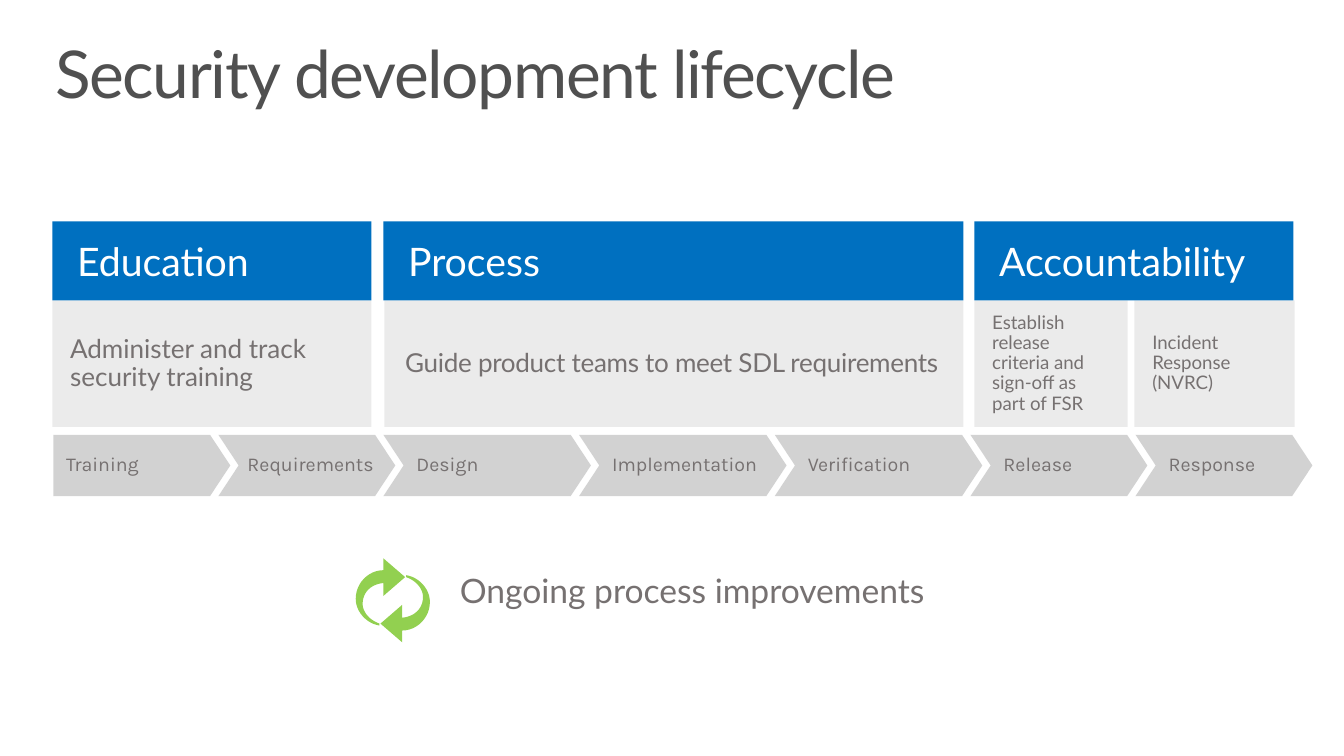
from lxml.etree import SubElement
from pptx import Presentation
from pptx.dml.color import RGBColor
from pptx.enum.shapes import MSO_SHAPE
from pptx.enum.text import MSO_ANCHOR, PP_ALIGN
from pptx.oxml.ns import qn
from pptx.util import Inches, Pt

BLUE, GREEN, WHITE = "0070C0", "92D050", "FFFFFF"
PANEL_GREY, STEP_GREY = "D9D9D9", "A6A6A6"
TITLE_GREY, TEXT_GREY = "505050", "767171"


def paint(sp, color, alpha=None):
    """Give a shape a flat fill, alpha in percent, without line or shadow."""
    sp.shadow.inherit = False
    sp.line.fill.background()
    sp.fill.solid()
    sp.fill.fore_color.rgb = RGBColor.from_string(color)
    if alpha:
        clr = sp.fill._xPr.find(qn("a:solidFill"))[0]
        SubElement(clr, qn("a:alpha")).set("val", str(alpha * 1000))


def write(sp, text, size, color=TEXT_GREY, font="Lato", insets=(0.18, 0, 0.18, 0),
          anchor=MSO_ANCHOR.MIDDLE, align=PP_ALIGN.LEFT, line=0.9, wrap=True, spacing=0):
    """Write one paragraph per line of text; spacing is in points."""
    tf = sp.text_frame
    tf.word_wrap, tf.vertical_anchor = wrap, anchor
    tf.margin_left, tf.margin_top, tf.margin_right, tf.margin_bottom = map(Inches, insets)
    tf.text = text
    for p in tf.paragraphs:
        p.alignment, p.line_spacing = align, line
        f = p.runs[0].font
        f.name, f.size, f.color.rgb = font, Pt(size), RGBColor.from_string(color)
        if spacing:
            f._rPr.set("spc", str(round(spacing * 100)))


prs = Presentation()
prs.slide_width, prs.slide_height = Inches(13.6), Inches(7.65)
s = prs.slides.add_slide(prs.slide_layouts[6])

# Title
title = s.shapes.add_textbox(Inches(0.4), Inches(0.32), Inches(12.8), Inches(1))
write(title, "Security development lifecycle", 48, TITLE_GREY,
      insets=(0.16, 0.1, 0.16, 0.1), anchor=MSO_ANCHOR.TOP, spacing=-1)

# Panels: left, width, text, size, side inset, letter spacing
panels = [
    (0.53, 3.23, "Administer and track security training", 19, 0.18, 0),
    (3.89, 5.86, "Guide product teams to meet SDL requirements", 19, 0.21, -0.2),
    (9.86, 1.55, "Establish release criteria and sign-off as part of FSR", 13.6, 0.18, 0),
    (11.48, 1.62, "Incident\nResponse (NVRC)", 13.6, 0.18, 0),
]
for left, width, text, size, side, spacing in panels:
    sp = s.shapes.add_shape(MSO_SHAPE.RECTANGLE, Inches(left), Inches(3.04),
                            Inches(width), Inches(1.28))
    paint(sp, PANEL_GREY, alpha=50)
    write(sp, text, size, insets=(side, 0, side, 0), spacing=spacing)

# Phase headers
for left, width, text in [(0.53, 3.23, "Education"), (3.88, 5.87, "Process"),
                          (9.86, 3.23, "Accountability")]:
    sp = s.shapes.add_shape(MSO_SHAPE.RECTANGLE, Inches(left), Inches(2.24),
                            Inches(width), Inches(0.8))
    paint(sp, BLUE)
    write(sp, text, 28.6, WHITE, insets=(0.25, 0.06, 0.13, 0.06), line=1)

# Lifecycle steps: each point reaches into the notch of the next step
steps = [("Training", 1.67), ("Requirements", 1.67), ("Design", 1.98),
         ("Implementation", 1.98), ("Verification", 1.98),
         ("Release", 1.67), ("Response", 1.67)]
left = 0.54
for i, (text, pitch) in enumerate(steps):
    kind = MSO_SHAPE.CHEVRON if i else MSO_SHAPE.PENTAGON
    sp = s.shapes.add_shape(kind, Inches(left), Inches(4.4), Inches(pitch + 0.12), Inches(0.62))
    sp.adjustments[0] = 0.33
    paint(sp, STEP_GREY, alpha=50)
    indent = 0.09 if text == "Requirements" else 0.13
    write(sp, text, 14.3, font="Karla", insets=(indent, 0.07, 0, 0.07), wrap=False)
    left += pitch

# Ongoing improvements
caption = s.shapes.add_textbox(Inches(0.73), Inches(5.7), Inches(12.55), Inches(0.56))
write(caption, "Ongoing process improvements", 24.5, insets=(0.14, 0.07, 0.14, 0.07),
      anchor=MSO_ANCHOR.TOP, align=PP_ALIGN.CENTER, line=1)

# Cycle arrow: an inner curve, the head, an outer curve back to the tail
inner = [[(3.84, 6.31), (3.75, 6.28), (3.67, 6.2), (3.67, 6.11)],
         [(3.67, 6.11), (3.67, 5.99), (3.76, 5.91), (3.88, 5.9)]]
head = [(3.88, 6.03), (4.1, 5.84), (3.88, 5.65), (3.88, 5.77)]
outer = [[(3.88, 5.77), (3.73, 5.77), (3.6, 5.9), (3.6, 6.06)],
         [(3.6, 6.06), (3.6, 6.19), (3.71, 6.31), (3.84, 6.33)]]
outline = []
for part in (inner, [head], outer):
    for points in part:
        if points is head:
            outline += head
            continue
        for t in [n / 12 for n in range(13)]:
            weights = ((1 - t) ** 3, 3 * t * (1 - t) ** 2, 3 * t * t * (1 - t), t ** 3)
            outline.append([sum(w * pt[axis] for w, pt in zip(weights, points))
                            for axis in (0, 1)])
vertices = [(Inches(x), Inches(y)) for x, y in outline]
for left, top, turn in [(3.6, 5.65, 0), (3.85, 5.82, 180)]:
    builder = s.shapes.build_freeform(*vertices[0])
    builder.add_line_segments(vertices[1:], close=True)
    arrow = builder.convert_to_shape()
    arrow.left, arrow.top, arrow.rotation = Inches(left), Inches(top), turn
    paint(arrow, GREEN)

prs.save("out.pptx")
